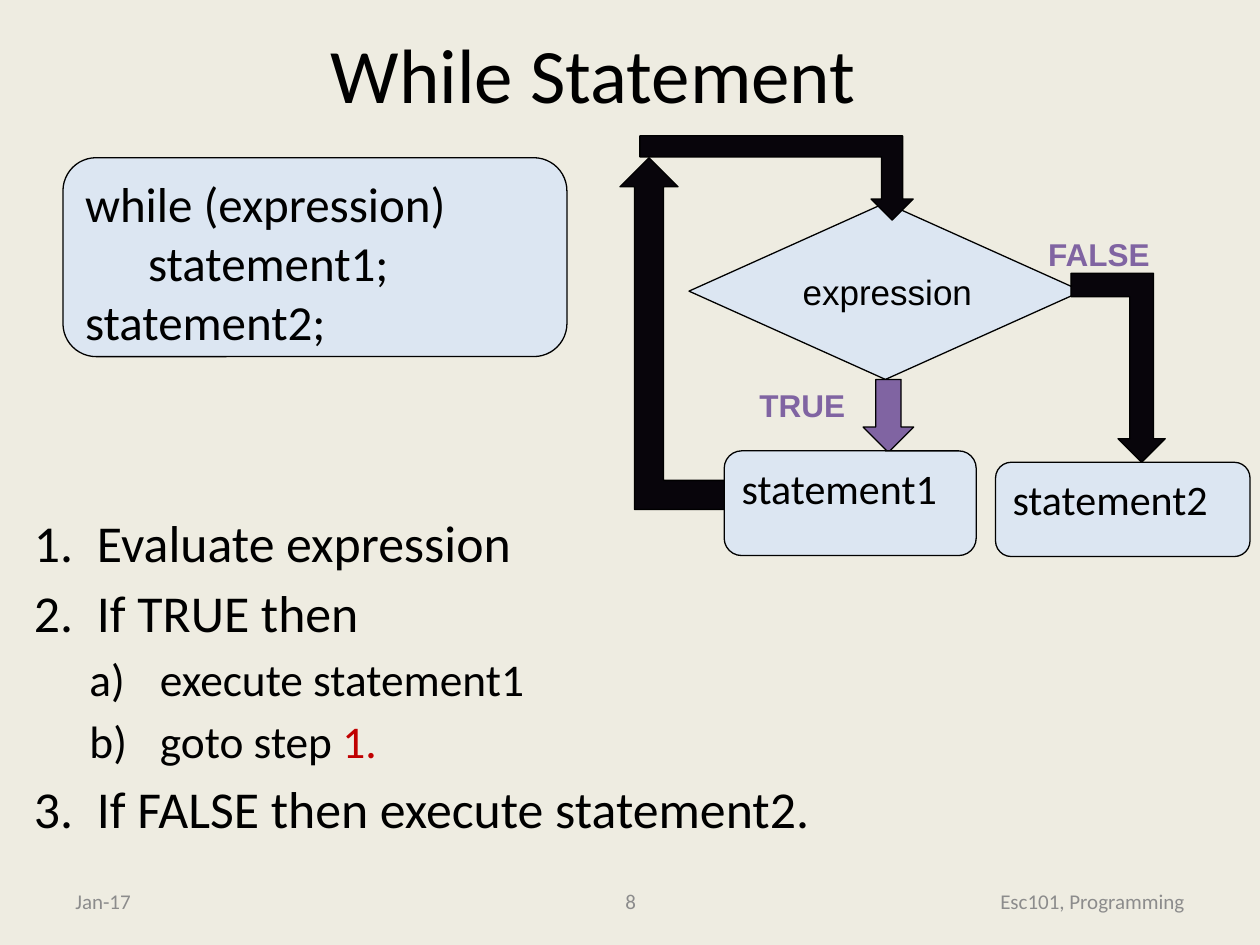
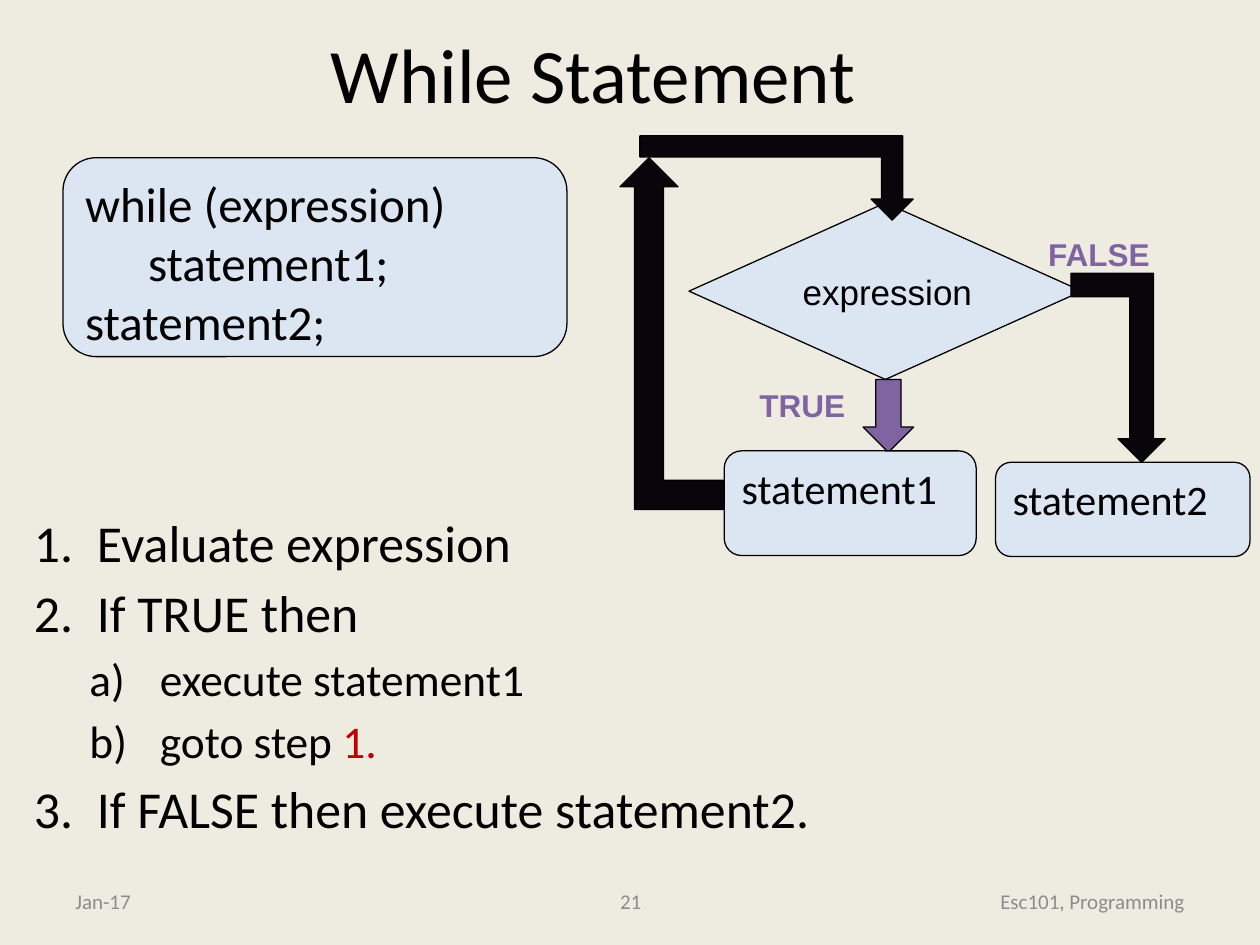
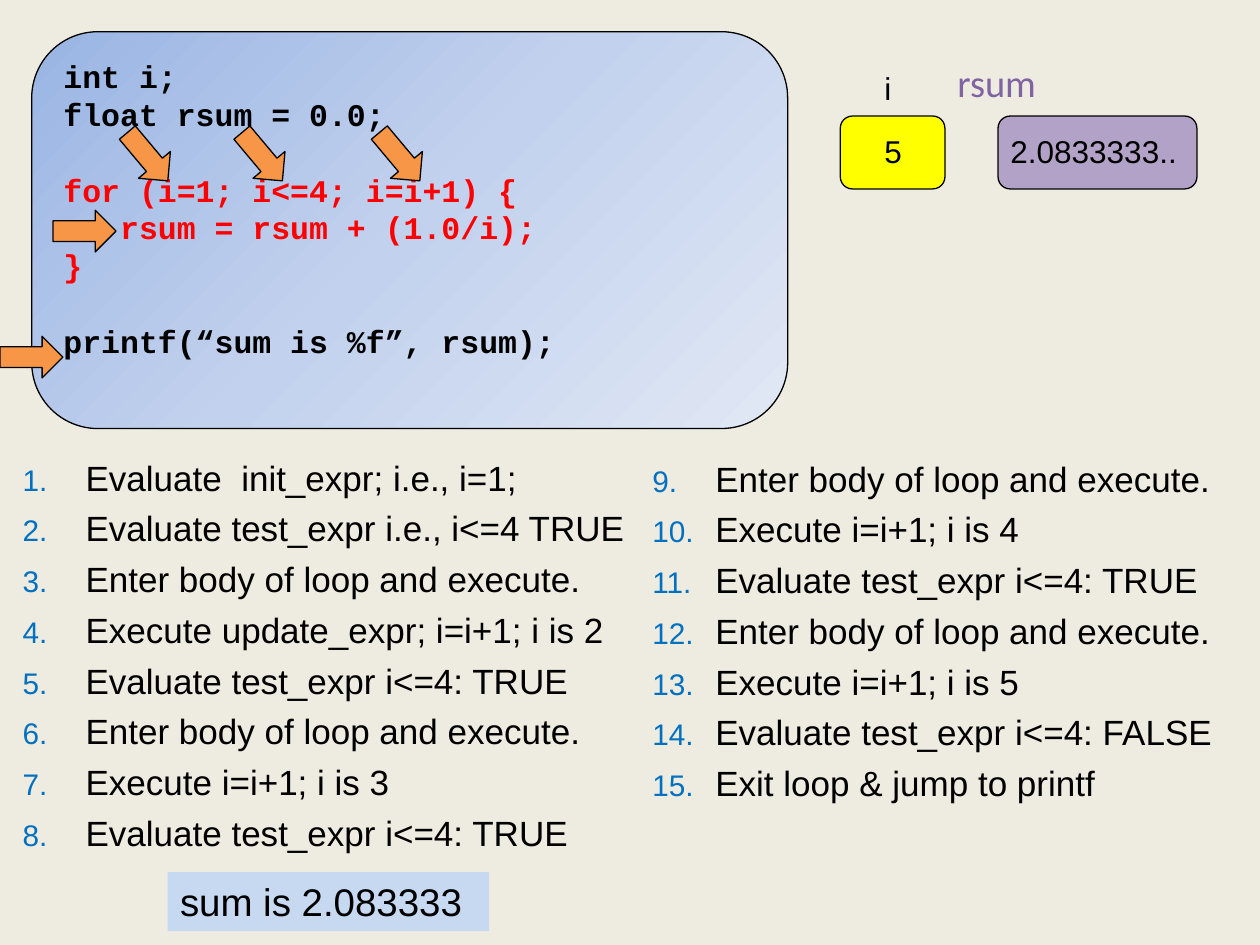
from dataclasses import dataclass
from typing import NamedTuple

from lxml import etree
from pptx import Presentation
from pptx.dml.color import RGBColor
from pptx.enum.shapes import MSO_SHAPE
from pptx.enum.text import MSO_ANCHOR, MSO_AUTO_SIZE, PP_ALIGN
from pptx.oxml.ns import qn
from pptx.util import Cm, Pt

ROUND = MSO_SHAPE.ROUNDED_RECTANGLE
RECT = MSO_SHAPE.RECTANGLE
CHOICE = MSO_SHAPE.FLOWCHART_DECISION
DOWN = MSO_SHAPE.DOWN_ARROW
RIGHT = MSO_SHAPE.RIGHT_ARROW
BENT = MSO_SHAPE.BENT_UP_ARROW
TOP, MIDDLE = MSO_ANCHOR.TOP, MSO_ANCHOR.MIDDLE
START, CENTER, END = PP_ALIGN.LEFT, PP_ALIGN.CENTER, PP_ALIGN.RIGHT
NO_FIT = MSO_AUTO_SIZE.NONE


@dataclass(frozen=True)
class Theme:
    paper: str = "EEECE1"
    ink: str = "000000"
    pale: str = "DCE6F2"
    purple: str = "8064A2"
    lilac: str = "B3A2C7"
    dark: str = "08050B"
    gray: str = "8C8C8C"
    orange: str = "F79646"
    yellow: str = "FFFF00"
    sky: str = "C6D9F1"
    blue: str = "0070C0"
    red: str = "FF0000"
    brick: str = "C00000"
    shade: tuple = ((0, "9AB5E4"), (50, "C2D1ED"), (100, "E1E8F5"))
    plain: str = "Calibri"
    sans: str = "Arial"
    mono: str = "Courier New"
    head: float = 44
    step: float = 29.6
    substep: float = 25.9
    sample: float = 28
    node: float = 24
    large: float = 22
    item: float = 20
    small: float = 18
    foot: float = 12
    code_pitch: float = 21.6


THEME = Theme()


class Box(NamedTuple):
    left: float
    top: float
    width: float
    height: float


class Mark(NamedTuple):
    style: str
    left: float
    hang: float
    first: int = 1
    color: str = ""
    scale: int = 100


@dataclass(frozen=True)
class Line:
    text: str
    color: str = ""
    size: float = 0
    gap: float = 0
    level: int = 0
    mark: Mark | None = None
    tail: str = ""


@dataclass(frozen=True)
class Piece:
    kind: int
    box: Box
    fill: str
    flip: str = ""
    turn: float = 0
    edge: bool = True


@dataclass(frozen=True)
class Label:
    text: str
    box: Box
    size: float = THEME.small
    color: str = THEME.ink
    font: str = THEME.sans
    bold: bool = False


STEP = Mark("arabicPeriod", 1.27, -1.27)
SUBSTEP = Mark("alphaLcParenR", 2.54, -1.42)

STEPS = [
    Line("Evaluate expression", mark=STEP),
    Line("If TRUE then", gap=5, mark=STEP),
    Line("execute statement1", size=THEME.substep, gap=4.5, level=1, mark=SUBSTEP),
    Line("goto step ", size=THEME.substep, gap=4.5, level=1, mark=SUBSTEP, tail="1."),
    Line("If FALSE then execute statement2.", gap=5, mark=STEP),
]

CODE = [
    Line("int i;"),
    Line("float rsum = 0.0;"),
    Line("for (i=1; i<=4; i=i+1) {", THEME.red, gap=THEME.code_pitch),
    Line("   rsum = rsum + (1.0/i);", THEME.red),
    Line("}", THEME.red),
    Line("printf(“sum is %f”, rsum);", gap=THEME.code_pitch),
]

TRACE = [
    "Evaluate  init_expr; i.e., i=1;",
    "Evaluate test_expr i.e., i<=4 TRUE",
    "Enter body of loop and execute.",
    "Execute update_expr; i=i+1; i is 2",
    "Evaluate test_expr i<=4: TRUE",
    "Enter body of loop and execute.",
    "Execute i=i+1; i is 3",
    "Evaluate test_expr i<=4: TRUE",
    "Enter body of loop and execute.",
    "Execute i=i+1; i is 4",
    "Evaluate test_expr i<=4: TRUE",
    "Enter body of loop and execute.",
    "Execute i=i+1; i is 5",
    "Evaluate test_expr i<=4: FALSE",
    "Exit loop & jump to printf",
]
SPLIT = 8


def rgb(color: str) -> RGBColor:
    return RGBColor.from_string(color)


def place(shape, box: Box) -> None:
    shape.left, shape.top, shape.width, shape.height = map(Cm, box)


def add_mark(para, mark: Mark) -> None:
    props = para._p.get_or_add_pPr()
    props.set("marL", str(Cm(mark.left)))
    props.set("indent", str(Cm(mark.hang)))
    if mark.color:
        tint = etree.SubElement(props, qn("a:buClr"))
        etree.SubElement(tint, qn("a:srgbClr"), val=mark.color)
    etree.SubElement(props, qn("a:buSzPct"), val=str(mark.scale * 1000))
    number = etree.SubElement(props, qn("a:buAutoNum"), type=mark.style)
    if mark.first > 1:
        number.set("startAt", str(mark.first))


def write(shape, text: str | list[Line], *, size: float, font: str = THEME.plain,
          color: str = THEME.ink, bold: bool = False, align=START, anchor=TOP,
          wrap: bool = True, pitch: float = 0) -> None:
    frame = shape.text_frame
    frame.auto_size = NO_FIT
    frame.word_wrap = wrap
    frame.vertical_anchor = anchor
    lines = [Line(part) for part in text.split("\n")] if isinstance(text, str) else text
    for index, line in enumerate(lines):
        para = frame.add_paragraph() if index else frame.paragraphs[0]
        para.level = line.level
        if line.mark:
            add_mark(para, line.mark)
        para.alignment = align
        para.space_before = Pt(line.gap)
        if pitch:
            para.line_spacing = Pt(pitch)
        for part, tint in ((line.text, line.color or color), (line.tail, THEME.brick)):
            if part:
                run = para.add_run()
                run.text = part
                run.font.name = font
                run.font.size = Pt(line.size or size)
                run.font.bold = bold
                run.font.color.rgb = rgb(tint)


def draw(slide, piece: Piece):
    shape = slide.shapes.add_shape(piece.kind, *map(Cm, piece.box))
    shape.shadow.inherit = False
    shape.fill.solid()
    shape.fill.fore_color.rgb = rgb(piece.fill)
    if piece.edge:
        shape.line.color.rgb = rgb(THEME.ink)
        shape.line.width = Pt(0.75)
    else:
        shape.line.fill.background()
    if piece.flip:
        shape._element.spPr.find(qn("a:xfrm")).set(piece.flip, "1")
    shape.rotation = piece.turn
    return shape


def blend(shape, stops: tuple, angle: int) -> None:
    shape.fill.gradient()
    grad = shape._element.spPr.find(qn("a:gradFill"))
    grad.find(qn("a:lin")).set("ang", str(angle * 60000))
    group = grad.find(qn("a:gsLst"))
    for old in list(group):
        group.remove(old)
    for where, color in stops:
        stop = etree.SubElement(group, qn("a:gs"), pos=str(where * 1000))
        etree.SubElement(stop, qn("a:srgbClr"), val=color)


def add_text(slide, box: Box, text: str | list[Line], **style) -> None:
    write(slide.shapes.add_textbox(*map(Cm, box)), text, **style)


def add_label(slide, label: Label) -> None:
    add_text(slide, label.box, label.text, size=label.size, color=label.color,
             font=label.font, bold=label.bold, wrap=False)


def add_foot(slide, number: int) -> None:
    for left, width, text, align in (
        (1.27, 5.92, "Jan-17", START),
        (8.69, 8.05, str(number), CENTER),
        (18.21, 5.92, "Esc101, Programming", END),
    ):
        add_text(slide, Box(left, 17.65, width, 1.02), text, size=THEME.foot,
                 color=THEME.gray, align=align, anchor=MIDDLE)


def while_slide(deck, number: int) -> None:
    slide = deck.slides.add_slide(deck.slide_layouts[1])
    title, body = slide.shapes.title, slide.placeholders[1]
    place(title, Box(1.17, 0.05, 21.59, 2.82))
    write(title, "While Statement", size=THEME.head, align=CENTER, anchor=MIDDLE)
    place(body, Box(0.43, 10.16, 24.77, 6.99))
    write(body, STEPS, size=THEME.step)
    add_foot(slide, number)

    sample = draw(slide, Piece(ROUND, Box(1.27, 3.18, 10.16, 4.01), THEME.pale))
    write(sample, "while (expression)\n\tstatement1;\nstatement2;", size=THEME.sample)

    for piece in (
        Piece(CHOICE, Box(13.89, 4.09, 7.92, 3.56), THEME.pale),
        Piece(DOWN, Box(17.4, 7.65, 1.02, 1.47), THEME.purple),
        Piece(BENT, Box(12.5, 3.18, 2.34, 7.09), THEME.dark, flip="flipH"),
        Piece(BENT, Box(12.9, 2.74, 5.51, 1.7), THEME.dark, flip="flipV"),
        Piece(BENT, Box(21.59, 5.51, 1.9, 3.81), THEME.dark, flip="flipV"),
    ):
        draw(slide, piece)
    for text, box in (
        ("statement1", Box(14.6, 9.09, 5.08, 2.11)),
        ("statement2", Box(20.07, 9.32, 5.13, 1.9)),
    ):
        write(draw(slide, Piece(ROUND, box, THEME.pale)), text, size=THEME.node)
    test = draw(slide, Piece(RECT, Box(15.93, 5.33, 3.96, 1.12), THEME.pale, edge=False))
    write(test, "expression", size=THEME.item, font=THEME.sans, wrap=False)
    for text, box in (
        ("FALSE", Box(20.88, 4.62, 2.59, 1.02)),
        ("TRUE", Box(15.06, 7.65, 2.26, 1.02)),
    ):
        add_label(slide, Label(text, box, color=THEME.purple, bold=True))


def trace_lines(items: list[str], first: int) -> list[Line]:
    mark = Mark("arabicPeriod", 1.27, -1.27, first, THEME.blue, 85)
    return [Line(text, gap=5 if index else 0, mark=mark)
            for index, text in enumerate(items)]


def trace_slide(deck) -> None:
    slide = deck.slides.add_slide(deck.slide_layouts[1])
    title = slide.shapes.title._element
    title.getparent().remove(title)
    body = slide.placeholders[1]
    place(body, Box(0.2, 9.07, 13.13, 8.79))
    write(body, trace_lines(TRACE[:SPLIT], 1), size=THEME.item, font=THEME.sans)
    add_text(slide, Box(12.9, 9.09, 12.27, 7.65), trace_lines(TRACE[SPLIT:], SPLIT + 1),
             size=THEME.item, font=THEME.sans)

    code = draw(slide, Piece(ROUND, Box(0.64, 0.64, 15.24, 8), THEME.pale))
    blend(code, THEME.shade, 45)
    write(code, CODE, size=THEME.small, font=THEME.mono, bold=True,
          pitch=THEME.code_pitch)

    for left, top, turn in (
        (2.34, 2.74, 50), (4.65, 2.74, 50), (7.42, 2.74, 50),
        (1.07, 4.24, 0), (0, 6.78, 0),
    ):
        draw(slide, Piece(RIGHT, Box(left, top, 1.27, 0.84), THEME.orange, turn=turn))

    draw(slide, Piece(ROUND, Box(16.94, 2.34, 2.11, 1.47), THEME.yellow))
    draw(slide, Piece(ROUND, Box(20.12, 2.34, 4.01, 1.47), THEME.lilac))
    for label in (
        Label("i", Box(17.58, 1.27, 0.66, 1.02)),
        Label("rsum", Box(19.05, 1.07, 2.26, 1.19), THEME.large, THEME.purple, THEME.plain),
        Label("5", Box(17.58, 2.54, 0.86, 1.02)),
        Label("2.0833333..", Box(20.12, 2.54, 3.89, 1.02)),
    ):
        add_label(slide, label)

    result = draw(slide, Piece(RECT, Box(3.38, 17.58, 6.48, 1.19), THEME.sky, edge=False))
    write(result, "sum is 2.083333", size=THEME.large, font=THEME.sans)


def main() -> None:
    deck = Presentation()
    deck.slide_width, deck.slide_height = Cm(25.4), Cm(19.05)
    back = deck.slide_master.background.fill
    back.solid()
    back.fore_color.rgb = rgb(THEME.paper)
    for number in (8, 21):
        while_slide(deck, number)
    trace_slide(deck)
    deck.save("out.pptx")


if __name__ == "__main__":
    main()
